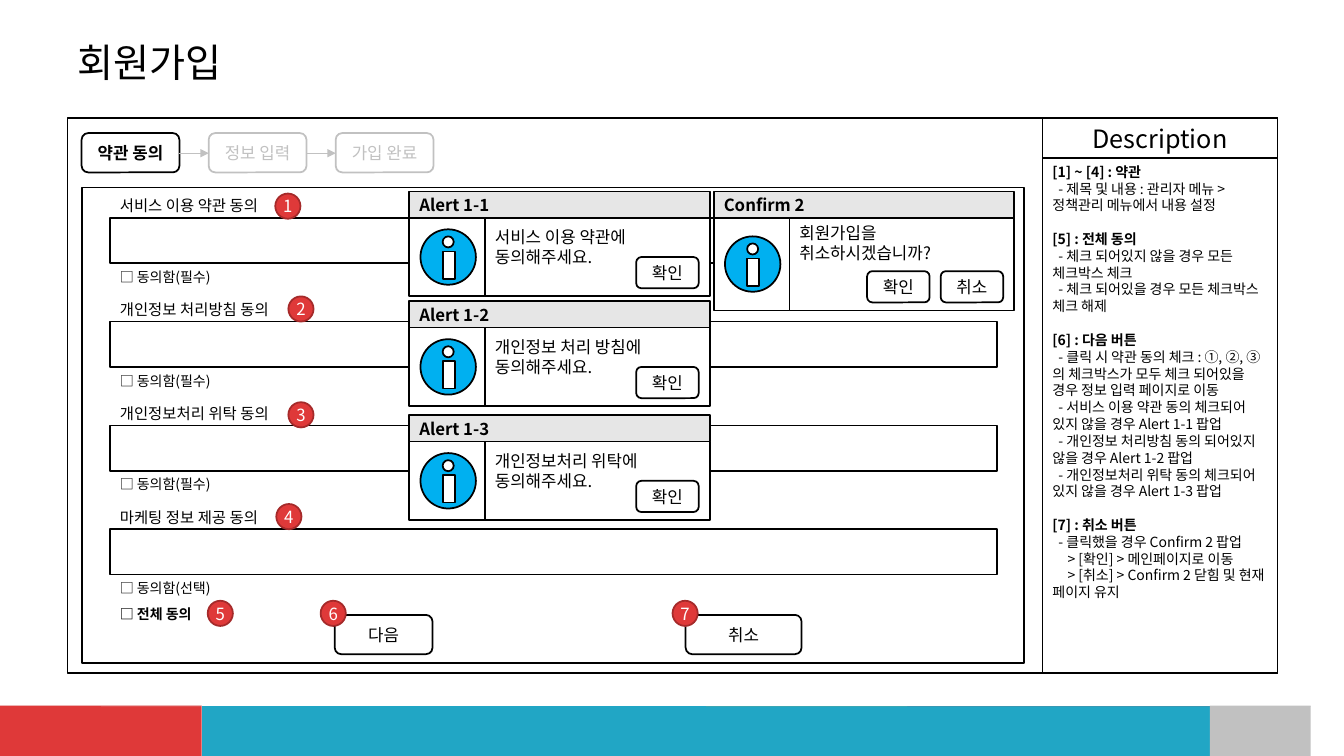
from dataclasses import dataclass
from lxml import etree
from pptx import Presentation
from pptx.dml.color import RGBColor
from pptx.enum.shapes import MSO_CONNECTOR, MSO_SHAPE
from pptx.enum.text import MSO_ANCHOR, PP_ALIGN
from pptx.oxml.ns import qn
from pptx.util import Inches, Pt

RECT, ROUND, OVAL = MSO_SHAPE.RECTANGLE, MSO_SHAPE.ROUNDED_RECTANGLE, MSO_SHAPE.OVAL
STRAIGHT = MSO_CONNECTOR.STRAIGHT
LEFT, CENTER = PP_ALIGN.LEFT, PP_ALIGN.CENTER
TOP, MIDDLE = MSO_ANCHOR.TOP, MSO_ANCHOR.MIDDLE


@dataclass(frozen=True)
class Theme:
    font: str = "Noto Sans CJK KR"
    head: str = "Calibri"
    black: str = "000000"
    white: str = "FFFFFF"
    gray: str = "C1C1C1"
    pale: str = "DADADA"
    bar: str = "E6E6E6"
    red: str = "DF3939"
    rim: str = "A52A2A"
    teal: str = "21A6C5"
    gold: str = "F0A73C"
    blue: str = "00B0F0"
    title: int = 28
    large: int = 18
    body: int = 12
    label: int = 11
    small: int = 10
    line: float = 1.25
    thin: float = 0.75


T = Theme()

# Footer band: colour and corner points
BANDS = [
    (T.gray, [(0, 6.81), (1.79, 6.84), (1.99, 6.97), (0.76, 6.97), (0.74, 7.04), (0, 7.04)]),
    (T.red, [(0, 7.08), (0.73, 7.08), (0.68, 7.19), (1.5, 7.19), (1.59, 7.5), (0, 7.5)]),
    (T.pale, [(0.8, 6.99), (7.35, 7), (7.25, 7.13), (0.73, 7.16)]),
    (T.teal, [(1.54, 7.2), (11.95, 7.16), (11.84, 7.5), (1.62, 7.5)]),
    (T.gold, [(7.44, 6.92), (8.97, 6.95), (9.01, 7.13), (7.3, 7.14)]),
    (T.red, [(8.99, 6.95), (12.59, 6.96), (12.2, 7.11), (9.06, 7.13)]),
    (T.teal, [(12.67, 6.96), (13.14, 6.96), (12.72, 7.12), (12.27, 7.12)]),
    (T.gray, [(12.01, 7.15), (12.74, 7.16), (13.24, 6.96), (13.33, 6.96),
              (13.33, 7.5), (11.9, 7.5)]),
]
STEPS = [("약관 동의", T.black), ("정보 입력", T.gray), ("가입 완료", T.gray)]
TERMS = [("서비스 이용 약관 동의", "필수"), ("개인정보 처리방침 동의", "필수"),
         ("개인정보처리 위탁 동의", "필수"), ("마케팅 정보 제공 동의", "선택")]
ALERTS = [(1.9, "서비스 이용 약관에"), (2.99, "개인정보 처리 방침에"),
          (4.12, "개인정보처리 위탁에")]
BADGES = [(2.73, 1.92), (2.86, 2.94), (2.86, 3.99), (2.74, 5),
          (2.06, 5.96), (3.18, 5.96), (6.67, 5.96)]
NOTES = [
    ("[1] ~ [4] : 약관", ["- 제목 및 내용 : 관리자 메뉴 > 정책관리 메뉴에서 내용 설정"]),
    ("[5] : 전체 동의", ["- 체크 되어있지 않을 경우 모든 체크박스 체크",
                     "- 체크 되어있을 경우 모든 체크박스 체크 해제"]),
    ("[6] : 다음 버튼", [
        "- 클릭 시 약관 동의 체크 : ①, ②, ③의 체크박스가 모두 체크 되어있을 경우 정보 입력 페이지로 이동",
        "- 서비스 이용 약관 동의 체크되어 있지 않을 경우 Alert 1-1 팝업",
        "- 개인정보 처리방침 동의 되어있지 않을 경우 Alert 1-2 팝업",
        "- 개인정보처리 위탁 동의 체크되어 있지 않을 경우 Alert 1-3 팝업"]),
    ("[7] : 취소 버튼", ["- 클릭했을 경우 Confirm 2 팝업", "> [확인] > 메인페이지로 이동",
                     "> [취소] > Confirm 2 닫힘 및 현재 페이지 유지"]),
]


def color(code):
    return RGBColor.from_string(code)


def write(para, text, size=T.body, ink=T.black, bold=False, align=LEFT,
          font=T.font, before=0, indent=0):
    para.alignment = align
    para.space_before = Pt(before)
    para._p.get_or_add_pPr().set("indent", str(Inches(indent)))
    run = para.add_run()
    run.text = text
    run.font.size, run.font.bold, run.font.name = Pt(size), bold, font
    run.font.color.rgb = color(ink)
    east = etree.SubElement(run.font._element, qn("a:ea"))
    east.set("typeface", T.font)


def paint(shape, fill, line):
    shape.shadow.inherit = False
    if fill:
        shape.fill.solid()
        shape.fill.fore_color.rgb = color(fill)
    else:
        shape.fill.background()
    if line:
        shape.line.color.rgb = color(line)
        shape.line.width = Pt(T.line)
    else:
        shape.line.fill.background()


def box(shapes, kind, x, y, w, h, text="", fill=T.white, line=T.black,
        anchor=MIDDLE, pad=(0.1, 0.05), **style):
    shape = shapes.add_shape(kind, Inches(x), Inches(y), Inches(w), Inches(h))
    paint(shape, fill, line)
    frame = shape.text_frame
    frame.word_wrap, frame.vertical_anchor = True, anchor
    frame.margin_left = frame.margin_right = Inches(pad[0])
    frame.margin_top = frame.margin_bottom = Inches(pad[1])
    for i, row in enumerate(text.split("\n") if text else []):
        write(frame.add_paragraph() if i else frame.paragraphs[0], row, **style)
    return shape


def button(shapes, x, y, w, h, text, ink=T.black, bold=False):
    box(shapes, ROUND, x, y, w, h, text, line=ink, ink=ink, bold=bold, align=CENTER)


def band(shapes, fill, points):
    build = shapes.build_freeform(*points[0], scale=Inches(1))
    build.add_line_segments(points[1:], close=True)
    paint(build.convert_to_shape(), fill, None)


def arrow(shapes, x, y, end):
    link = shapes.add_connector(STRAIGHT, Inches(x), Inches(y), Inches(end), Inches(y))
    link.line.color.rgb = color(T.gray)
    link.line.width = Pt(T.thin)
    etree.SubElement(link.line._get_or_add_ln(), qn("a:tailEnd")).set("type", "triangle")
    etree.SubElement(link._element.spPr, qn("a:effectLst"))


def popup(slide, x, y, head, text, names, high=0.78, pad=0.09):
    shapes = slide.shapes.add_group_shape().shapes
    body = y + 0.26
    icon = body + (high - 0.55) / 2
    box(shapes, RECT, x, body, 0.75, high)
    box(shapes, RECT, x, y, 2.98, 0.26, head, fill=T.bar, bold=True)
    # Info icon
    box(shapes, OVAL, x + 0.11, icon, 0.55, 0.55, fill=T.blue)
    box(shapes, OVAL, x + 0.33, icon + 0.07, 0.11, 0.11)
    box(shapes, RECT, x + 0.33, icon + 0.22, 0.12, 0.27)
    # Message and buttons, placed from the right
    box(shapes, RECT, x + 0.75, body, 2.23, high, text, anchor=TOP, pad=(0.1, pad))
    for i, name in enumerate(names):
        button(shapes, x + 2.25 - 0.73 * i, body + high - 0.39, 0.62, 0.31, name)


def terms(shapes):
    for i, (name, need) in enumerate(TERMS):
        y = 1.92 + 1.03 * i
        box(shapes, RECT, 1.09, y, 8.8, 0.24, name, line=None, size=T.label)
        box(shapes, RECT, 1.09, y + 0.69, 8.8, 0.27, f"□ 동의함({need})",
            line=None, size=T.small)
        box(shapes, RECT, 1.09, y + 0.24, 8.8, 0.45)
    box(shapes, RECT, 1.09, 5.96, 8.8, 0.27, "□ 전체 동의", line=None,
        size=T.small, bold=True)


def notes(shapes):
    panel = box(shapes, RECT, 10.34, 1.57, 2.33, 5.11, fill=None, anchor=TOP)
    frame = panel.text_frame
    for i, (head, rows) in enumerate(NOTES):
        para = frame.add_paragraph() if i else frame.paragraphs[0]
        write(para, head, size=T.small, bold=True, before=12 if i else 0)
        for row in rows:
            write(frame.add_paragraph(), row, size=T.small,
                  indent=0.06 if row[0] == "-" else 0.15)
    box(shapes, RECT, 10.34, 1.17, 2.33, 0.4, "Description", fill=None,
        size=T.large, align=CENTER)


def main():
    deck = Presentation()
    deck.slide_width, deck.slide_height = Inches(13.33), Inches(7.5)
    slide = deck.slides.add_slide(deck.slide_layouts[5])
    shapes = slide.shapes

    # Title
    title = shapes.title
    title.left, title.top = Inches(0.67), Inches(0.31)
    title.width, title.height = Inches(12), Inches(0.61)
    title.text_frame.vertical_anchor = MIDDLE
    write(title.text_frame.paragraphs[0], "회원가입", size=T.title, font=T.head)

    # Footer, frame and description
    for fill, points in BANDS:
        band(shapes, fill, points)
    box(shapes, RECT, 0.67, 1.17, 12, 5.51)
    notes(shapes)

    # Step bar
    for i, (name, ink) in enumerate(STEPS):
        x = 0.81 + 1.26 * i
        button(shapes, x, 1.32, 0.97, 0.39, name, ink, bold=i == 0)
        if i:
            arrow(shapes, x - 0.29, 1.52, x)

    # Terms form
    box(shapes, RECT, 0.81, 1.86, 9.35, 4.72, fill=None)
    terms(shapes)
    button(shapes, 3.32, 6.1, 0.97, 0.39, "다음")
    button(shapes, 6.8, 6.1, 1.15, 0.39, "취소")

    # Popups
    for i, (y, text) in enumerate(ALERTS, 1):
        popup(slide, 4.06, y, f"Alert 1-{i}", text + "\n동의해주세요.", ["확인"])
    popup(slide, 7.08, 1.9, "Confirm 2", "회원가입을\n취소하시겠습니까?",
          ["취소", "확인"], high=0.92, pad=0.05)

    # Numbered badges
    for i, (x, y) in enumerate(BADGES, 1):
        box(shapes, OVAL, x, y, 0.25, 0.25, str(i), fill=T.red, line=T.rim,
            pad=(0, 0), ink=T.white, align=CENTER)
    deck.save("out.pptx")


if __name__ == "__main__":
    main()
